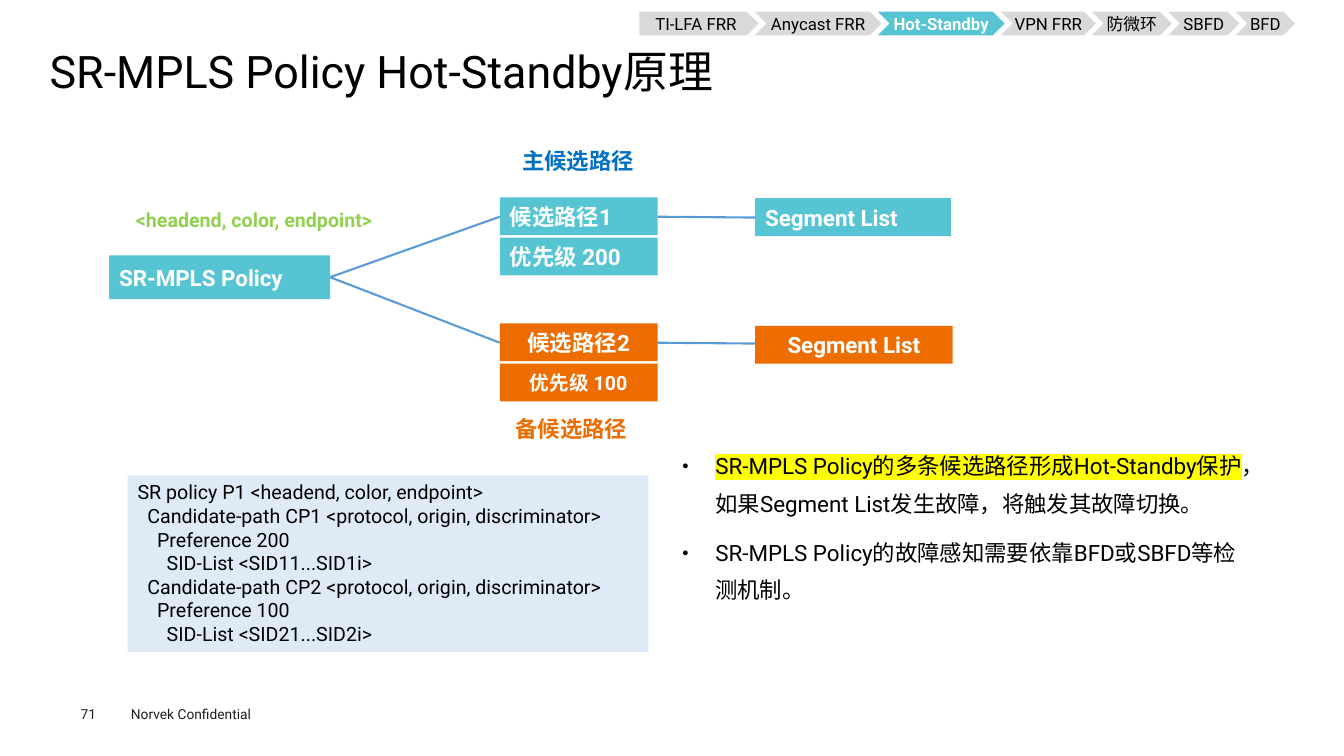
from dataclasses import dataclass

from lxml.etree import SubElement as Sub
from pptx import Presentation
from pptx.dml.color import RGBColor as RGB
from pptx.enum.shapes import MSO_CONNECTOR as Link, MSO_SHAPE as Form
from pptx.enum.text import MSO_ANCHOR as Anchor, MSO_AUTO_SIZE as Fit, PP_ALIGN as Align
from pptx.oxml.ns import qn
from pptx.util import Inches, Pt


@dataclass(frozen=True)
class Theme:
    """Colours, font and type sizes of the slide."""
    font: str = "Roboto"
    black: str = "000000"
    white: str = "FFFFFF"
    teal: str = "56C4D2"
    orange: str = "ED6D00"
    blue: str = "0070C0"
    green: str = "92D050"
    pale: str = "DEEBF7"
    grey: str = "D9D9D9"
    line: str = "5B9BD5"
    ink: str = "1D1D1B"
    mark: str = "FFFF00"
    title: float = 32
    text: float = 16
    code: float = 14
    nav: float = 12
    foot: float = 9.8


class Deck:
    """Draws styled elements on a grid of 160 columns by 90 rows."""

    def __init__(self, theme):
        """Start a deck with one titled slide."""
        self.theme = theme
        self.prs = Presentation()
        self.prs.slide_width, self.prs.slide_height = Inches(13.33), Inches(7.5)
        self.slide = self.prs.slides.add_slide(self.prs.slide_layouts[1])
        self.shapes = self.slide.shapes

    def grid(self, *cells):
        """Turn column and row pairs into lengths."""
        steps = self.prs.slide_width / 160, self.prs.slide_height / 90
        return [round(cell * steps[i % 2]) for i, cell in enumerate(cells)]

    def style(self, run, size, color, bold=False, mark=None):
        """Format one run."""
        font = run.font
        font.size, font.bold = Pt(size), bold
        font.color.rgb = RGB.from_string(color)
        font.name = self.theme.font
        props = run._r.get_or_add_rPr()
        props.set("lang", "zh-CN")
        Sub(props, qn("a:ea")).set("typeface", self.theme.font)
        if mark:
            glow = Sub(props, qn("a:highlight"))
            Sub(glow, qn("a:srgbClr")).set("val", mark)
            props.find(qn("a:latin")).addprevious(glow)

    def letter(self, shape, text, size, color, bold=False, align=Align.LEFT,
               anchor=Anchor.TOP, wrap=True, inset=True):
        """Fill a shape with text of one style."""
        frame = shape.text_frame
        frame.text = text
        frame.word_wrap, frame.auto_size = wrap, Fit.NONE
        frame.vertical_anchor = anchor
        if not inset:
            frame.margin_left = frame.margin_right = 0
            frame.margin_top = frame.margin_bottom = 0
        for para in frame.paragraphs:
            para.alignment = align
            for run in para.runs:
                self.style(run, size, color, bold)

    def place(self, shape, box):
        """Move a placeholder to a box of the grid."""
        shape.left, shape.top, shape.width, shape.height = self.grid(*box)

    def title(self, box, text):
        """Set the slide title."""
        head = self.shapes.title
        self.place(head, box)
        self.letter(head, text, self.theme.title, self.theme.black, inset=False)
        head.text_frame.paragraphs[0].line_spacing = 0.9

    def points(self, box, items):
        """Set the bullet list from pairs of marked and plain text."""
        body = self.slide.placeholders[1]
        self.place(body, box)
        frame = body.text_frame
        frame.text = "\n".join(mark or plain for mark, plain in items)
        frame.auto_size, frame.vertical_anchor = Fit.NONE, Anchor.TOP
        for i, (para, (mark, plain)) in enumerate(zip(frame.paragraphs, items)):
            props = para._p.get_or_add_pPr()
            props.set("marL", str(Inches(0.33)))
            props.set("indent", str(-Inches(0.33)))
            Sub(props, qn("a:buSzPct")).set("val", "50000")
            Sub(props, qn("a:buChar")).set("char", "●")
            para.line_spacing, para.space_before = 1.4, Pt(7.9 if i else 0)
            if mark:
                para.add_run().text = plain
            for j, run in enumerate(para.runs):
                glow = self.theme.mark if mark and j == 0 else None
                self.style(run, self.theme.text, self.theme.black, mark=glow)

    def block(self, box, text, fill, size, color, form=Form.RECTANGLE, **kind):
        """Add a filled shape with text."""
        shape = self.shapes.add_shape(form, *self.grid(*box))
        shape.shadow.inherit = False
        shape.fill.solid()
        shape.fill.fore_color.rgb = RGB.from_string(fill)
        shape.line.fill.background()
        self.letter(shape, text, size, color, **kind)

    def node(self, box, text, fill, size=None, align=Align.LEFT):
        """Add a box of the policy tree."""
        self.block(box, text, fill, size or self.theme.text, self.theme.white,
                   bold=True, align=align, anchor=Anchor.MIDDLE)

    def label(self, box, text, size, color, **kind):
        """Add a text box."""
        self.letter(self.shapes.add_textbox(*self.grid(*box)), text, size, color, **kind)

    def link(self, *ends):
        """Join two points with a line."""
        wire = self.shapes.add_connector(Link.STRAIGHT, *self.grid(*ends))
        wire.line.color.rgb = RGB.from_string(self.theme.line)
        wire.line.width = Pt(1.5)
        Sub(wire._element.spPr, qn("a:effectLst"))

    def trail(self, left, top, high, lap, steps, live):
        """Add the chain of arrows that shows the current topic."""
        look = self.theme
        for i, (text, wide) in enumerate(steps):
            now = text == live
            self.block((left, top, wide, high), text, look.teal if now else look.grey,
                       look.nav, look.white if now else look.black,
                       Form.CHEVRON if i else Form.PENTAGON, bold=now,
                       align=Align.CENTER, anchor=Anchor.MIDDLE, inset=False)
            left += wide - lap


CODE = """SR policy P1 <headend, color, endpoint>
  Candidate-path CP1 <protocol, origin, discriminator>
    Preference 200
      SID-List <SID11...SID1i>
  Candidate-path CP2 <protocol, origin, discriminator>
    Preference 100
      SID-List <SID21...SID2i>"""

STEPS = [("TI-LFA FRR", 14.2), ("Anycast FRR", 15.1), ("Hot-Standby", 15.1),
         ("VPN FRR", 11.3), ("防微环", 9.5), ("SBFD", 8.5), ("BFD", 7.1)]

ITEMS = [("SR-MPLS Policy的多条候选路径形成Hot-Standby保护",
          "，如果Segment List发生故障，将触发其故障切换。"),
         ("", "SR-MPLS Policy的故障感知需要依靠BFD或SBFD等检测机制。")]


def main():
    """Build the slide and save it."""
    look = Theme()
    deck = Deck(look)
    deck.title((5.9, 5.9, 148.2, 6.5), "SR-MPLS Policy Hot-Standby原理")
    deck.label((14.4, 83.4, 19.2, 3.2), "Norvek Confidential", look.foot, look.ink)
    deck.label((9.6, 84, 6.6, 1.9), "71", look.foot, look.ink, inset=False)

    deck.node((13, 30.4, 26.3, 5.2), "SR-MPLS Policy", look.teal)
    paths = [
        (23.5, 23.6, 23.3, "候选路径1", "优先级 200", look.teal, look.text, Align.LEFT),
        (38.5, 38.8, 23.5, "候选路径2", "优先级 100", look.orange, look.code, Align.CENTER),
    ]
    for top, seg, wide, name, rank, fill, size, align in paths:
        deck.node((59.5, top, 18.8, 4.5), name, fill, align=align)
        deck.node((59.5, top + 4.8, 18.8, 4.5), rank, fill, size, align)
        deck.node((89.9, seg, wide, 4.5), "Segment List", fill, align=align)
        deck.link(39.3, 33, 59.5, top + 2.3)
        deck.link(89.9, top + 2.4, 78.3, top + 2.3)

    deck.label((61, 16.9, 16, 4.4), "主候选路径", look.text, look.blue, bold=True, wrap=False)
    deck.label((60.2, 48.8, 16, 4.4), "备候选路径", look.text, look.orange, bold=True, wrap=False)
    deck.block((15.2, 56.6, 62, 21), CODE, look.pale, look.code, look.black)
    deck.label((15, 24.2, 38.5, 4.1), "<headend, color, endpoint>", look.code, look.green, bold=True)
    deck.points((80, 52, 70.5, 15.2), ITEMS)
    deck.trail(76.1, 1.4, 2.8, 0.45, STEPS, "Hot-Standby")
    deck.prs.save("out.pptx")


if __name__ == "__main__":
    main()
